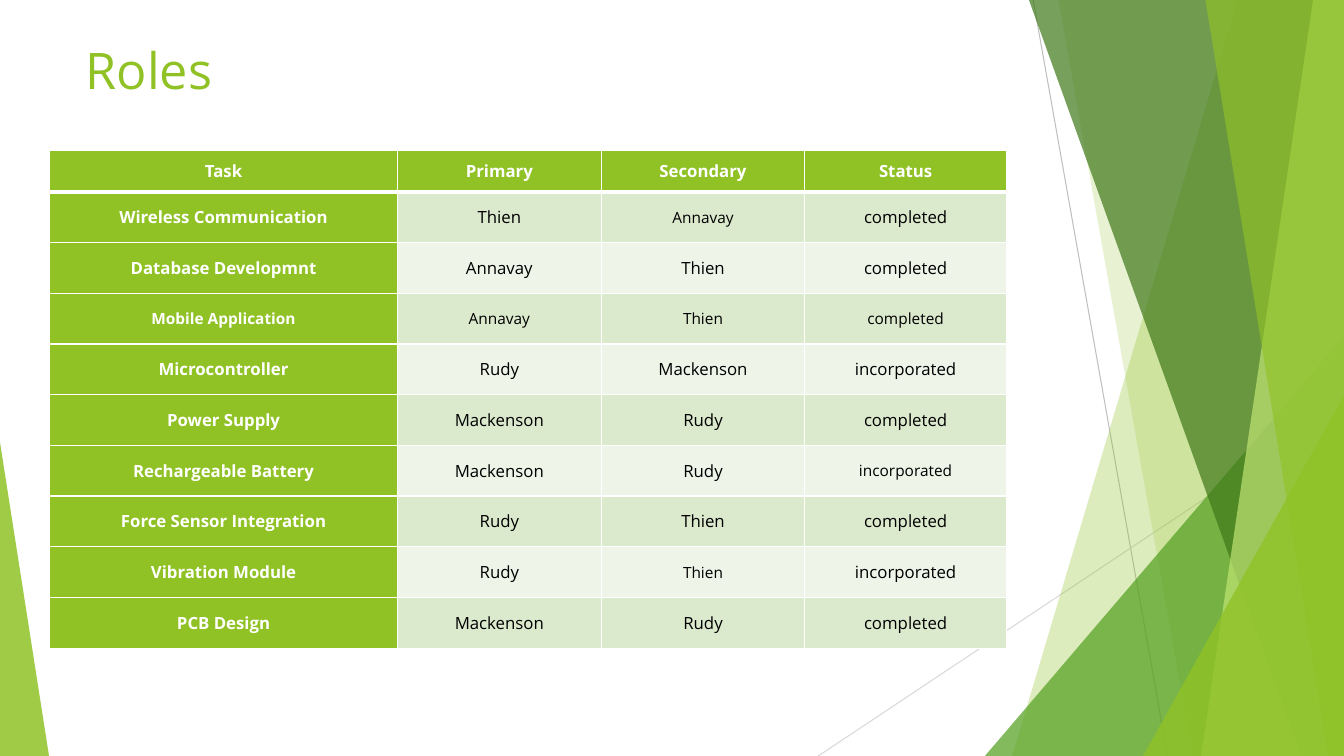
from lxml import etree
from pptx import Presentation
from pptx.dml.color import RGBColor
from pptx.enum.shapes import MSO_CONNECTOR, MSO_SHAPE
from pptx.enum.text import MSO_ANCHOR, PP_ALIGN
from pptx.oxml.ns import qn
from pptx.util import Pt

WIDTH, HEIGHT = 960, 540
LIME, GREEN, FOREST, PALE, WHITE = "90C226", "54A021", "3F7819", "C0E474", "FFFFFF"
BANDS = ("DBE9CD", "EEF4E8")


def rgb(value):
    return RGBColor.from_string(value)


class SlideBuilder:
    """Draws styled elements on the current slide, with lengths in points."""

    font = "Open Sans"

    def __init__(self, slide):
        self.slide = slide
        self.shapes = slide.shapes

    def style_font(self, font, size, color, bold=False):
        font.name, font.size, font.bold = self.font, Pt(size), bold
        font.color.rgb = rgb(color)

    def title(self, text, left, top, width, height):
        title = self.shapes.title
        title.left, title.top = Pt(left), Pt(top)
        title.width, title.height = Pt(width), Pt(height)
        frame = title.text_frame
        frame.text = text
        frame.vertical_anchor = MSO_ANCHOR.TOP
        frame.paragraphs[0].alignment = PP_ALIGN.LEFT
        self.style_font(frame.paragraphs[0].runs[0].font, 36, LIME)

    def line(self, x1, y1, x2, y2, color):
        line = self.shapes.add_connector(
            MSO_CONNECTOR.STRAIGHT, Pt(x1), Pt(y1), Pt(x2), Pt(y2))
        line.line.color.rgb = rgb(color)
        line.line.width = Pt(0.75)
        etree.SubElement(line._element.spPr, qn("a:effectLst"))

    def tint(self, shape, color, opacity):
        shape.shadow.inherit = False
        shape.line.fill.background()
        shape.fill.solid()
        shape.fill.fore_color.rgb = rgb(color)
        swatch = shape._element.spPr.find(qn("a:solidFill"))[0]
        etree.SubElement(swatch, qn("a:alpha"), val=str(opacity * 1000))

    def shard(self, top_x, bottom_x, color, opacity):
        builder = self.shapes.build_freeform(Pt(top_x), 0, scale=1)
        corners = [(WIDTH, 0), (WIDTH, HEIGHT), (bottom_x, HEIGHT)]
        builder.add_line_segments([(Pt(x), Pt(y)) for x, y in corners], close=True)
        self.tint(builder.convert_to_shape(), color, opacity)

    def triangle(self, left, top, width, apex, color, opacity):
        shape = self.shapes.add_shape(
            MSO_SHAPE.ISOSCELES_TRIANGLE, Pt(left), Pt(top), Pt(width), Pt(HEIGHT - top))
        shape.adjustments[0] = apex
        self.tint(shape, color, opacity)

    def border(self, cell, side, width):
        edge = etree.SubElement(
            cell._tc.get_or_add_tcPr(), qn(f"a:ln{side}"), w=str(Pt(width)))
        fill = etree.SubElement(edge, qn("a:solidFill"))
        etree.SubElement(fill, qn("a:srgbClr"), val=WHITE)

    def cell(self, cell, text, size, row, column):
        heading = row == 0 or column == 0
        widths = {"L": 1, "R": 1, "T": 3 if row == 1 else 1, "B": 3 if row == 0 else 1}
        for side, width in widths.items():
            self.border(cell, side, width)
        cell.fill.solid()
        cell.fill.fore_color.rgb = rgb(LIME if heading else BANDS[(row - 1) % 2])
        cell.margin_left = cell.margin_right = Pt(5)
        cell.margin_top = cell.margin_bottom = 0
        cell.vertical_anchor = MSO_ANCHOR.MIDDLE
        cell.text = text
        paragraph = cell.text_frame.paragraphs[0]
        paragraph.alignment = PP_ALIGN.CENTER
        self.style_font(paragraph.runs[0].font, size, WHITE if heading else "000000", heading)

    def table(self, rows, left, top, widths, header_height, row_height, small_cells):
        heights = [header_height] + [row_height] * (len(rows) - 1)
        table = self.shapes.add_table(
            len(rows), len(widths), Pt(left), Pt(top), Pt(sum(widths)), Pt(sum(heights))).table
        table.first_row = table.horz_banding = False
        for column, width in zip(table.columns, widths):
            column.width = Pt(width)
        for table_row, height in zip(table.rows, heights):
            table_row.height = Pt(height)
        for r, texts in enumerate(rows):
            for c, text in enumerate(texts):
                size = 11 if (r, c) in small_cells else 12
                self.cell(table.cell(r, c), text, size, r, c)


ROLES = [
    ("Task", "Primary", "Secondary", "Status"),
    ("Wireless Communication", "Thien", "Annavay", "completed"),
    ("Database Developmnt", "Annavay", "Thien", "completed"),
    ("Mobile Application", "Annavay", "Thien", "completed"),
    ("Microcontroller", "Rudy", "Mackenson", "incorporated"),
    ("Power Supply", "Mackenson", "Rudy", "completed"),
    ("Rechargeable Battery", "Mackenson", "Rudy", "incorporated"),
    ("Force Sensor Integration", "Rudy", "Thien", "completed"),
    ("Vibration Module", "Rudy", "Thien", "incorporated"),
    ("PCB Design", "Mackenson", "Rudy", "completed"),
]
SMALL_CELLS = {(1, 2), (6, 3), (8, 2)} | {(3, column) for column in range(4)}

prs = Presentation()
prs.slide_width, prs.slide_height = Pt(WIDTH), Pt(HEIGHT)
page = SlideBuilder(prs.slides.add_slide(prs.slide_layouts[5]))

page.line(738, 0, 834, HEIGHT, "BFBFBF")
page.line(WIDTH, 290, 584.5, HEIGHT, "D9D9D9")
page.shard(884, 723, LIME, 30)
page.shard(756, 852, LIME, 20)
page.triangle(703.5, 240, 256.5, 1, GREEN, 72)
page.shard(735, 929.5, FOREST, 70)
page.shard(938, 858, PALE, 70)
page.shard(861, 949, LIME, 65)
page.triangle(816.5, 283, 143.5, 1, LIME, 80)
page.triangle(0, 316, 35, 0, LIME, 85)
page.title("Roles", 54, 24.5, 677, 103.5)
page.table(ROLES, 35.5, 107.5, [248.5, 145.5, 145.5, 144], 29.5, 36.25, SMALL_CELLS)

prs.save("out.pptx")
